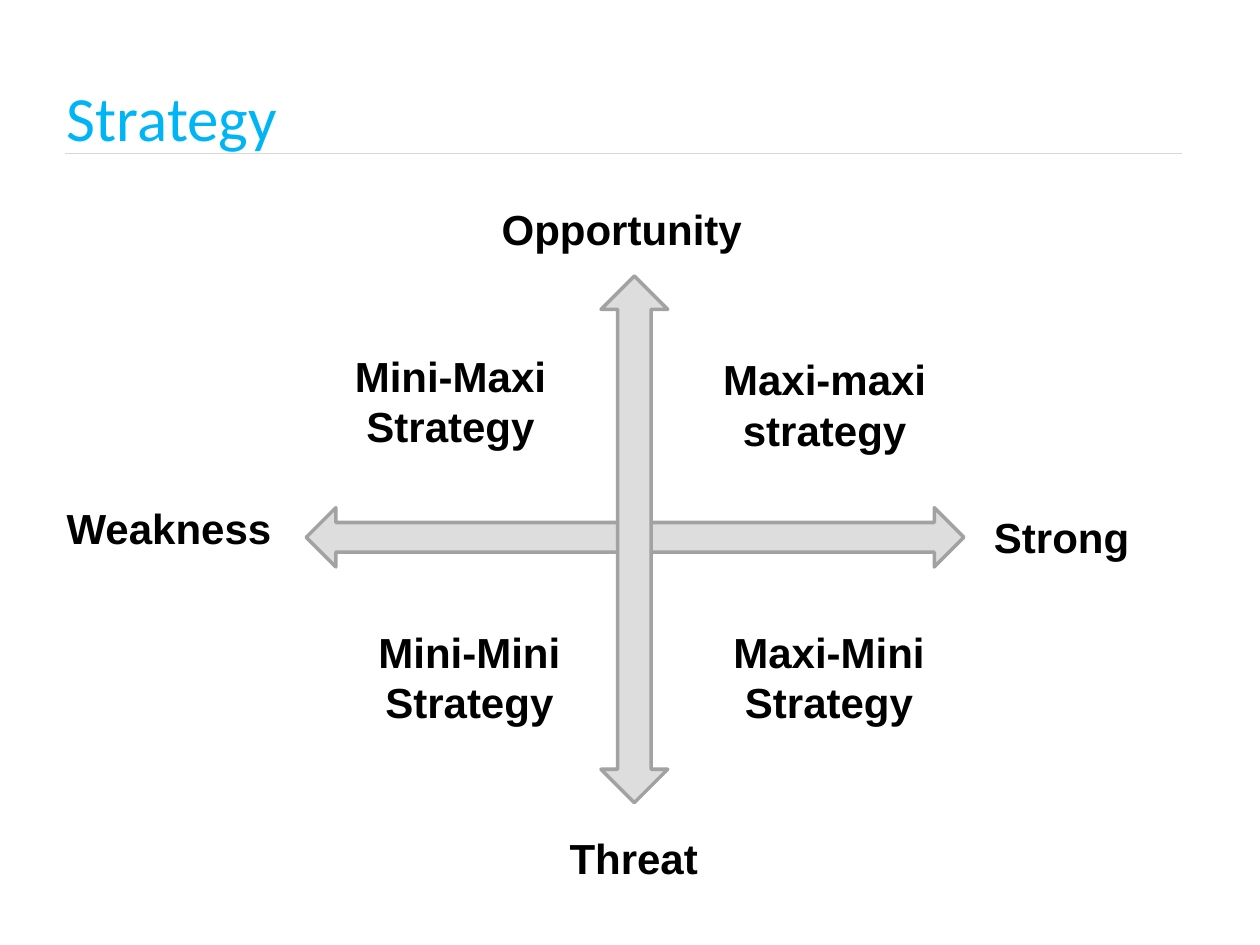
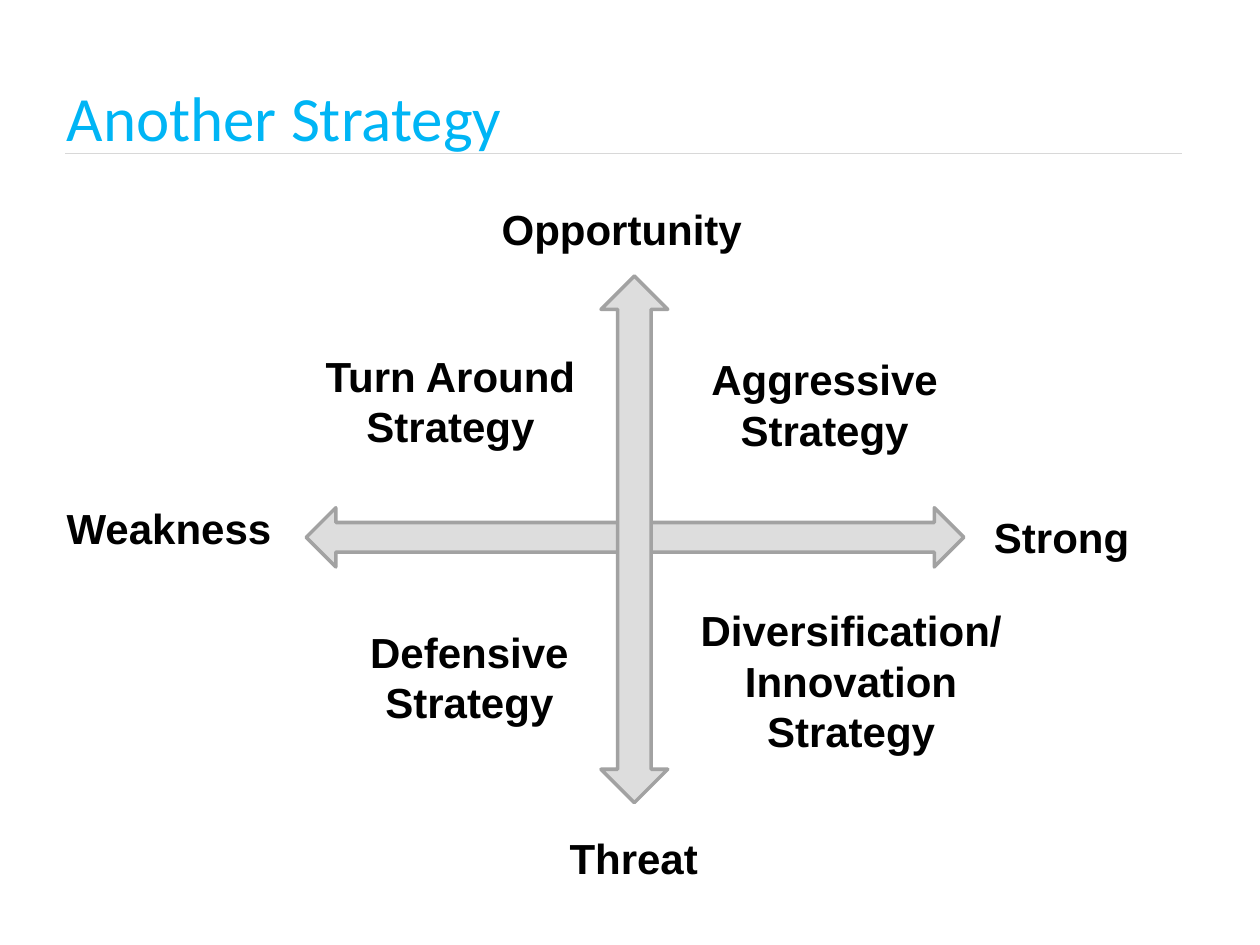
from dataclasses import dataclass

from lxml import etree
from pptx import Presentation
from pptx.dml.color import RGBColor
from pptx.enum.shapes import MSO_CONNECTOR, MSO_SHAPE
from pptx.enum.text import MSO_ANCHOR, MSO_AUTO_SIZE, PP_ALIGN
from pptx.oxml.ns import qn
from pptx.util import Inches, Pt

LEFT, CENTER = PP_ALIGN.LEFT, PP_ALIGN.CENTER
TOP, MIDDLE = MSO_ANCHOR.TOP, MSO_ANCHOR.MIDDLE
NO_FIT = MSO_AUTO_SIZE.NONE
STRAIGHT = MSO_CONNECTOR.STRAIGHT
ACROSS, UPRIGHT = MSO_SHAPE.LEFT_RIGHT_ARROW, MSO_SHAPE.UP_DOWN_ARROW
TITLE_ONLY = 5


@dataclass(frozen=True)
class Theme:
    title_color: str = "00B5F5"
    label_color: str = "000000"
    rule_color: str = "D8D8D8"
    arrow_fill: str = "DDDDDD"
    arrow_line: str = "A2A2A2"
    title_font: str = "Calibri"
    label_font: str = "Arial"
    title_size: int = 36
    label_size: int = 24
    rule_width: float = 0.75
    arrow_width: float = 2


THEME = Theme()

STRATEGIES = [
    {
        "title": "Strategy",
        "weakness_opportunity": "Mini-Maxi Strategy",
        "strong_opportunity": "Maxi-maxi strategy",
        "strong_threat": "Maxi-Mini Strategy",
        "weakness_threat": "Mini-Mini Strategy",
    },
    {
        "title": "Another Strategy",
        "weakness_opportunity": "Turn Around Strategy",
        "strong_opportunity": "Aggressive\nStrategy",
        "strong_threat": "Diversification/Innovation Strategy",
        "weakness_threat": "Defensive Strategy",
    },
]

AXIS_ENDS = [
    ("Strong", (7.79, 4.01, 1.69, 0.5), LEFT),
    ("Weakness", (0.43, 3.94, 1.98, 0.5), LEFT),
    ("Opportunity", (3.62, 1.57, 2.63, 0.5), CENTER),
    ("Threat", (4.13, 6.56, 1.8, 0.5), CENTER),
]

QUADRANTS = {
    "weakness_opportunity": (2.38, 2.73, 2.39, 0.9),
    "strong_opportunity": (5.23, 2.76, 2.63, 0.9),
    "strong_threat": (5.58, 4.92, 2, 0.9),
    "weakness_threat": (2.82, 4.92, 1.81, 0.9),
}
WIDE_QUADRANT = (5.42, 4.75, 2.67, 1.3)
LONG_TEXT = 30

ARROWS = [(ACROSS, (2.43, 4.03, 5.22, 0.47)), (UPRIGHT, (4.77, 2.19, 0.53, 4.18))]
TITLE_AREA = (0.43, 0.49, 9, 0.87)
RULE = (0.52, 1.22, 9.38, 1.22)


def inches(values):
    return [Inches(value) for value in values]


def color(value):
    return RGBColor.from_string(value)


def write(box, text, *, font=THEME.label_font, size=THEME.label_size,
          ink=THEME.label_color, bold=True, align=CENTER, anchor=TOP):
    frame = box.text_frame
    frame.word_wrap = True
    frame.auto_size = NO_FIT
    frame.vertical_anchor = anchor
    frame.text = text
    for para in frame.paragraphs:
        para.alignment = align
        for span in para.runs:
            span.font.name = font
            span.font.size = Pt(size)
            span.font.bold = bold
            span.font.color.rgb = color(ink)


def add_title(page, text):
    title = page.shapes.title
    title.left, title.top, title.width, title.height = inches(TITLE_AREA)
    write(title, text, font=THEME.title_font, size=THEME.title_size,
          ink=THEME.title_color, bold=False, align=LEFT, anchor=MIDDLE)
    rule = page.shapes.add_connector(STRAIGHT, *inches(RULE))
    rule.line.color.rgb = color(THEME.rule_color)
    rule.line.width = Pt(THEME.rule_width)
    etree.SubElement(rule.element.spPr, qn("a:effectLst"))
    title.element.addprevious(rule.element)


def add_arrow(page, kind, area):
    arrow = page.shapes.add_shape(kind, *inches(area))
    arrow.shadow.inherit = False
    arrow.fill.solid()
    arrow.fill.fore_color.rgb = color(THEME.arrow_fill)
    arrow.line.color.rgb = color(THEME.arrow_line)
    arrow.line.width = Pt(THEME.arrow_width)


def add_label(page, text, area, align=CENTER):
    write(page.shapes.add_textbox(*inches(area)), text, align=align)


def add_strategy(deck, strategy):
    page = deck.slides.add_slide(deck.slide_layouts[TITLE_ONLY])
    add_title(page, strategy["title"])
    for kind, area in ARROWS:
        add_arrow(page, kind, area)
    for text, area, align in AXIS_ENDS:
        add_label(page, text, area, align)
    for quadrant, area in QUADRANTS.items():
        text = strategy[quadrant]
        add_label(page, text, WIDE_QUADRANT if len(text) > LONG_TEXT else area)


def main():
    deck = Presentation()
    deck.slide_width, deck.slide_height = Inches(10), Inches(7.5)
    for strategy in STRATEGIES:
        add_strategy(deck, strategy)
    deck.save("out.pptx")


if __name__ == "__main__":
    main()
